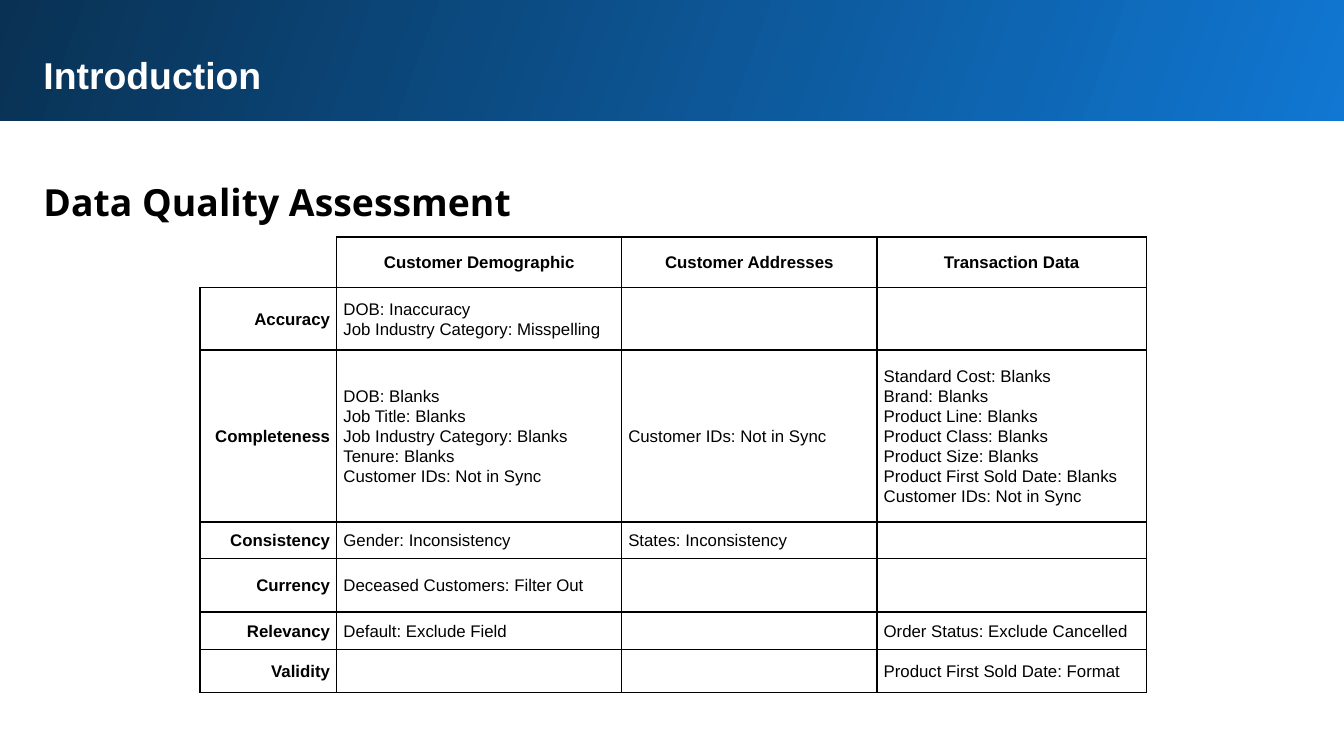
from lxml.etree import SubElement
from pptx import Presentation
from pptx.dml.color import RGBColor
from pptx.enum.shapes import MSO_SHAPE
from pptx.enum.text import MSO_ANCHOR, PP_ALIGN
from pptx.oxml.ns import qn
from pptx.util import Inches, Pt

BLACK = RGBColor(0x00, 0x00, 0x00)
WHITE = RGBColor(0xFF, 0xFF, 0xFF)
BRIGHT_BLUE = RGBColor(0x10, 0x77, 0xD2)
NAVY = RGBColor(0x09, 0x31, 0x53)

GRID_UNIT = Inches(0.1)
GRID_COLUMNS, GRID_ROWS = 100, 56.25

COLUMN_WIDTHS = [10.15, 21.2, 19, 20.05]
ROW_HEIGHTS = [3.75, 4.65, 12.8, 2.7, 4, 2.8, 3.2]
ASSESSMENT = [
    ["", "Customer Demographic", "Customer Addresses", "Transaction Data"],
    ["Accuracy", "DOB: Inaccuracy\nJob Industry Category: Misspelling", "", ""],
    [
        "Completeness",
        "DOB: Blanks\nJob Title: Blanks\nJob Industry Category: Blanks\n"
        "Tenure: Blanks\nCustomer IDs: Not in Sync",
        "Customer IDs: Not in Sync",
        "Standard Cost: Blanks\nBrand: Blanks\nProduct Line: Blanks\n"
        "Product Class: Blanks\nProduct Size: Blanks\n"
        "Product First Sold Date: Blanks\nCustomer IDs: Not in Sync",
    ],
    ["Consistency", "Gender: Inconsistency", "States: Inconsistency", ""],
    ["Currency", "Deceased Customers: Filter Out", "", ""],
    ["Relevancy", "Default: Exclude Field", "", "Order Status: Exclude Cancelled"],
    ["Validity", "", "", "Product First Sold Date: Format"],
]


def grid(*cells):
    return [round(cell * GRID_UNIT) for cell in cells]


class SlideBuilder:
    body_font = "Arial"
    heading_font = "Open Sans"
    heading_size = Pt(20)
    table_size = Pt(9)
    table_spacing = 1.07
    border_width = Pt(1)

    def __init__(self, slide):
        self.slide = slide

    def banner(self, left, top, width, height):
        shape = self.slide.shapes.add_shape(
            MSO_SHAPE.RECTANGLE, *grid(left, top, width, height))
        shape.shadow.inherit = False
        shape.line.fill.background()
        shape.fill.gradient()
        shape.fill.gradient_angle = 160
        for stop, color in zip(shape.fill.gradient_stops, (BRIGHT_BLUE, NAVY)):
            stop.color.rgb = color

    def heading(self, text, left, top, width, height, font_name, color, spacing=1.0):
        shape = self.slide.shapes.add_textbox(*grid(left, top, width, height))
        frame = shape.text_frame
        frame.word_wrap = True
        frame.margin_left = frame.margin_right = Inches(0.1)
        frame.margin_top = frame.margin_bottom = Inches(0.1)
        frame.text = text
        self.style(frame.paragraphs[0], font_name, self.heading_size, color, True, spacing)

    def style(self, paragraph, font_name, size, color, bold, spacing):
        paragraph.line_spacing = spacing
        font = paragraph.font
        font.name, font.size, font.bold = font_name, size, bold
        font.color.rgb = color

    def table(self, left, top, widths, heights, content):
        table = self.slide.shapes.add_table(
            len(heights), len(widths),
            *grid(left, top, sum(widths), sum(heights))).table
        for column, width in zip(table.columns, grid(*widths)):
            column.width = width
        for row, height in zip(table.rows, grid(*heights)):
            row.height = height
        for row_index, texts in enumerate(content):
            for column_index, text in enumerate(texts):
                is_header, is_label = row_index == 0, column_index == 0
                cell = table.cell(row_index, column_index)
                alignment = (PP_ALIGN.CENTER if is_header
                             else PP_ALIGN.RIGHT if is_label else PP_ALIGN.LEFT)
                self.cell(cell, text, alignment, is_header or is_label)
                self.borders(cell, "RB" if is_header and is_label else "LRTB")

    def cell(self, cell, text, alignment, bold):
        cell.fill.background()
        cell.vertical_anchor = MSO_ANCHOR.MIDDLE
        cell.margin_left = cell.margin_right = Inches(0.05)
        cell.margin_top = cell.margin_bottom = 0
        cell.text = text
        for paragraph in cell.text_frame.paragraphs:
            paragraph.alignment = alignment
            self.style(paragraph, self.body_font, self.table_size, BLACK, bold,
                       self.table_spacing)
            if not text:
                end_properties = SubElement(paragraph._p, qn("a:endParaRPr"))
                end_properties.set("sz", str(round(self.table_size.pt * 100)))

    def borders(self, cell, sides):
        properties = cell._tc.get_or_add_tcPr()
        for position, side in enumerate(sides):
            line = SubElement(properties, qn(f"a:ln{side}"), w=str(self.border_width))
            fill = SubElement(line, qn("a:solidFill"))
            SubElement(fill, qn("a:srgbClr"), val=str(BLACK))
            properties.insert(position, line)


def main():
    presentation = Presentation()
    presentation.slide_width, presentation.slide_height = grid(GRID_COLUMNS, GRID_ROWS)
    slide = presentation.slides.add_slide(presentation.slide_layouts[6])
    builder = SlideBuilder(slide)
    builder.banner(-0.2, -0.2, 100.5, 9.2)
    builder.heading("Introduction", 2.25, 2.9, 93.7, 5.1, builder.body_font, WHITE)
    builder.heading("Data Quality Assessment", 2.25, 11.85, 93.7, 5.6,
                    builder.heading_font, BLACK, 1.15)
    builder.table(14.9, 17.65, COLUMN_WIDTHS, ROW_HEIGHTS, ASSESSMENT)
    presentation.save("out.pptx")


if __name__ == "__main__":
    main()
